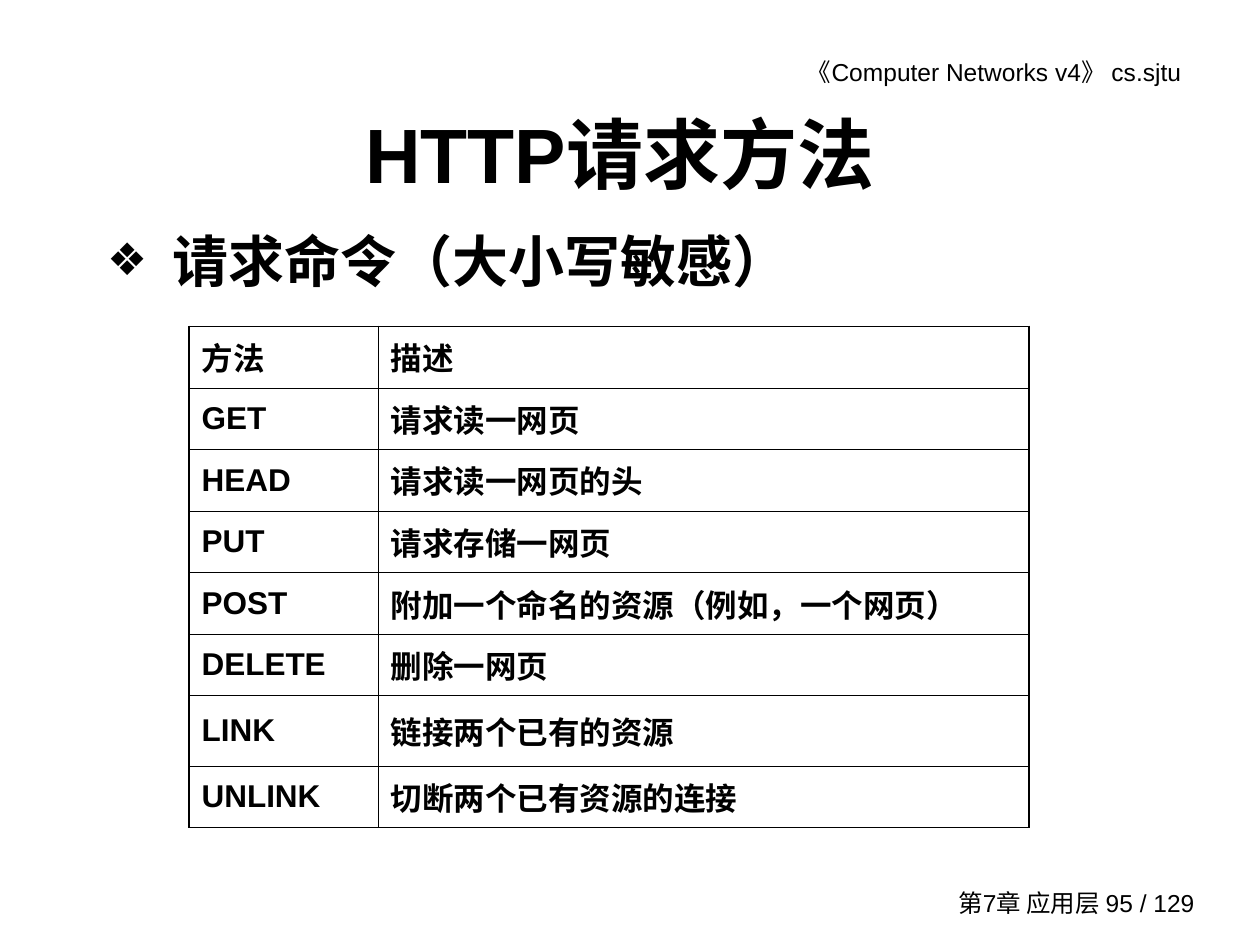
from lxml import etree
from pptx import Presentation
from pptx.dml.color import RGBColor
from pptx.enum.text import MSO_ANCHOR, PP_ALIGN
from pptx.oxml.ns import qn
from pptx.util import Cm, Pt

TOP, MIDDLE = MSO_ANCHOR.TOP, MSO_ANCHOR.MIDDLE
LEFT, CENTER, RIGHT = PP_ALIGN.LEFT, PP_ALIGN.CENTER, PP_ALIGN.RIGHT
BLACK = RGBColor(0, 0, 0)
WHITE = RGBColor(255, 255, 255)
FONT = "Arial"
THIN, THICK = Pt(0.45), Pt(1.08)

METHODS = [
    ("方法", "描述"),
    ("GET", "请求读一网页"),
    ("HEAD", "请求读一网页的头"),
    ("PUT", "请求存储一网页"),
    ("POST", "附加一个命名的资源（例如，一个网页）"),
    ("DELETE", "删除一网页"),
    ("LINK", "链接两个已有的资源"),
    ("UNLINK", "切断两个已有资源的连接"),
]
WIDTHS = [3.81, 13.13]
HEIGHTS = [1.24] * 6 + [1.42, 1.24]


def style(para, size, bold):
    font = para.font
    font.name, font.size, font.bold = FONT, Pt(size), bold
    font.color.rgb = BLACK


def add_text(slide, box, text, size, align, anchor=TOP, bold=False, bullet=None):
    frame = slide.shapes.add_textbox(*map(Cm, box)).text_frame
    frame.word_wrap = True
    frame.vertical_anchor = anchor
    frame.text = text
    para = frame.paragraphs[0]
    para.alignment = align
    if bullet:
        add_bullet(para, bullet)
    style(para, size, bold)


def add_bullet(para, mark):
    props = para._p.get_or_add_pPr()
    props.set("marL", str(Cm(1.32)))
    props.set("indent", str(-Cm(1.32)))
    etree.SubElement(props, qn("a:buSzPct"), val="80000")
    etree.SubElement(props, qn("a:buFont"), typeface=FONT)
    etree.SubElement(props, qn("a:buChar"), char=mark)


def add_border(cell, side, width):
    props = cell._tc.get_or_add_tcPr()
    line = etree.SubElement(props, qn("a:" + side), w=str(width))
    fill = etree.SubElement(line, qn("a:solidFill"))
    etree.SubElement(fill, qn("a:srgbClr"), val=str(BLACK))


def add_methods(slide, left, top):
    """Grid of request methods, with a heavier outer frame."""
    rows, cols = len(METHODS), len(WIDTHS)
    box = (left, top, sum(WIDTHS), sum(HEIGHTS))
    table = slide.shapes.add_table(rows, cols, *map(Cm, box)).table
    table.first_row = table.horz_banding = False
    for col, width in zip(table.columns, WIDTHS):
        col.width = Cm(width)
    for r, (row, height) in enumerate(zip(table.rows, HEIGHTS)):
        row.height = Cm(height)
        for c, cell in enumerate(row.cells):
            cell.text = METHODS[r][c]
            cell.vertical_anchor = MIDDLE
            style(cell.text_frame.paragraphs[0], 18, True)
            # Borders come before the fill in the cell properties
            outer = {"lnL": c == 0, "lnR": c == cols - 1,
                     "lnT": r == 0, "lnB": r == rows - 1}
            for side, edge in outer.items():
                add_border(cell, side, THICK if edge else THIN)
            cell.fill.solid()
            cell.fill.fore_color.rgb = WHITE


def main():
    deck = Presentation()
    deck.slide_width, deck.slide_height = Cm(25.4), Cm(19.05)
    slide = deck.slides.add_slide(deck.slide_layouts[6])

    # Running header and footer
    add_text(slide, (13.41, 1.02, 10.65, 0.86),
             "《Computer Networks v4》 cs.sjtu", 14, RIGHT)
    add_text(slide, (18.59, 17.78, 5.74, 0.84),
             "第7章 应用层 95 / 129", 14, RIGHT, MIDDLE)

    # Title and lead line
    add_text(slide, (1.7, 1.7, 21.59, 2.74), "HTTP请求方法", 44, CENTER, MIDDLE, True)
    add_text(slide, (1.91, 4.45, 21.59, 2.11), "请求命令（大小写敏感）", 32, LEFT,
             bold=True, bullet="❖")

    add_methods(slide, 3.81, 6.58)
    deck.save("out.pptx")


if __name__ == "__main__":
    main()
